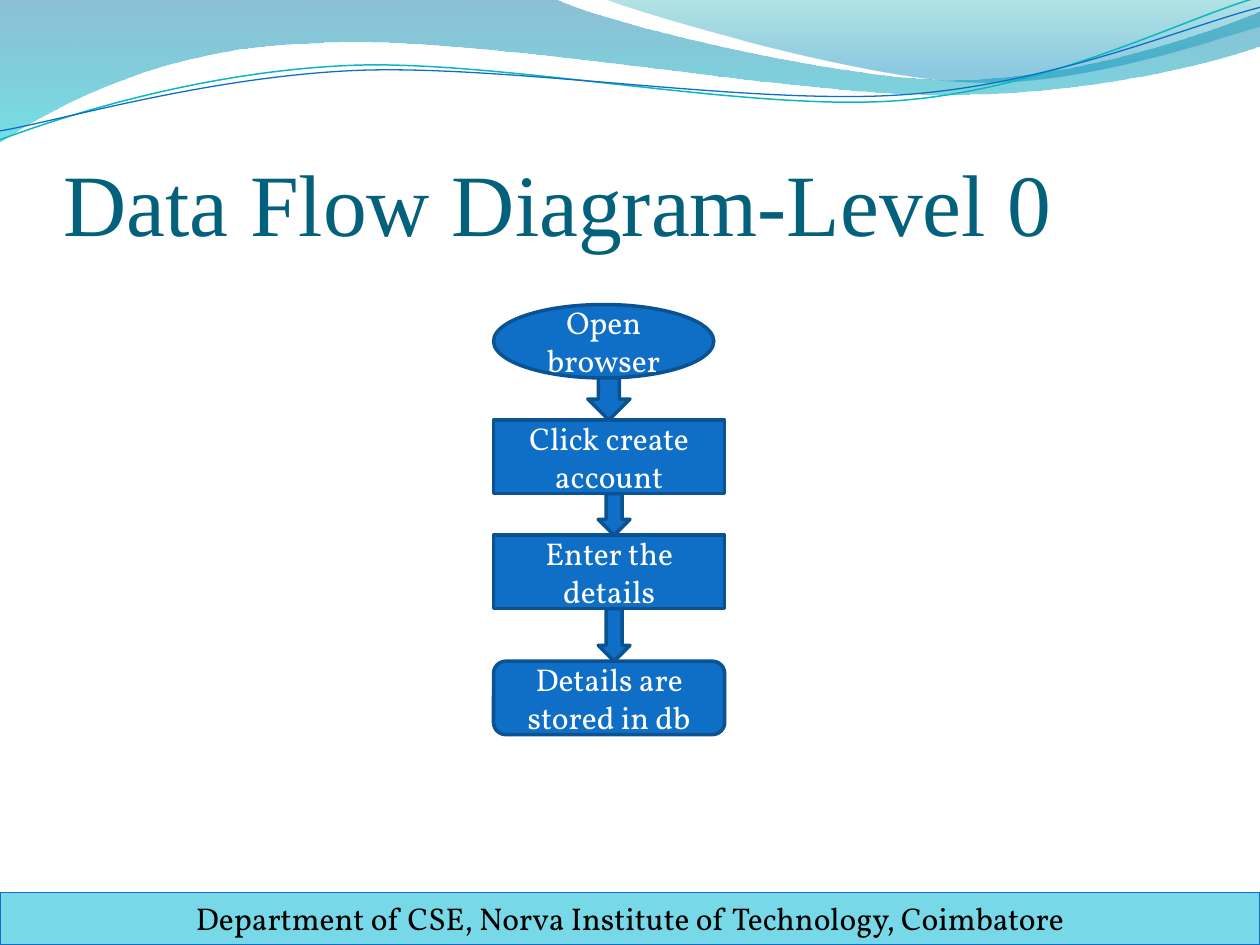
from dataclasses import dataclass

from pptx import Presentation
from pptx.dml.color import RGBColor
from pptx.enum.shapes import MSO_SHAPE
from pptx.enum.text import MSO_ANCHOR, PP_ALIGN
from pptx.oxml import parse_xml
from pptx.oxml.ns import nsdecls, qn
from pptx.util import Cm, Pt

RECTANGLE = MSO_SHAPE.RECTANGLE
ROUNDED = MSO_SHAPE.ROUNDED_RECTANGLE
OVAL = MSO_SHAPE.OVAL
DOWN_ARROW = MSO_SHAPE.DOWN_ARROW
TOP, MIDDLE, BOTTOM = MSO_ANCHOR.TOP, MSO_ANCHOR.MIDDLE, MSO_ANCHOR.BOTTOM
LEFT, CENTER = PP_ALIGN.LEFT, PP_ALIGN.CENTER

BLUE = RGBColor(0x0F, 0x6F, 0xC6)
DARK_BLUE = RGBColor(0x0B, 0x52, 0x92)
TITLE_TEAL = RGBColor(0x04, 0x61, 0x7B)
FOOTER_CYAN = RGBColor(0x77, 0xD9, 0xE8)
LINE_TEAL = RGBColor(0x0A, 0xB8, 0xBF)
WAVE_BLUE = RGBColor(0x00, 0x74, 0xA1)
WAVE_CYAN = RGBColor(0x00, 0xC6, 0xCF)
CREST_TEAL = RGBColor(0x00, 0xA1, 0xA9)
CREST_BLUE = RGBColor(0x00, 0x8B, 0xBF)
BLACK = RGBColor(0, 0, 0)
WHITE = RGBColor(0xFF, 0xFF, 0xFF)

BODY_FONT = "Vollkorn"
TITLE_FONT = "Times New Roman"


@dataclass
class Stop:
    position: float
    color: RGBColor
    opacity: int


@dataclass
class Wave:
    """Outline in cm: a segment is one line end or three Bezier points."""
    start: tuple
    segments: list
    stops: tuple = ()
    line_color: RGBColor | None = None
    line_width: float = 0


@dataclass
class Step:
    text: str
    kind: MSO_SHAPE
    top: float
    width: float = 4.66


@dataclass
class Arrow:
    left: float
    width: float


WAVES = [
    Wave((0, 0), [
        ((11.18, -0.03),),
        ((12.09, 0.43), (16.87, 1.6), (19.25, 1.6)),
        ((21.67, 1.6), (24.33, 0.66), (25.4, 0.23)),
        ((25.43, 0.91),),
        ((24.97, 1.12), (22.1, 1.93), (18.95, 1.91)),
        ((15.8, 1.91), (9.7, 0.71), (6.53, 0.86)),
        ((3.28, 0.91), (1.17, 2.11), (-0.03, 2.87)),
        ((0, 0),),
    ], stops=(Stop(0, WAVE_BLUE, 45), Stop(1, WAVE_CYAN, 55))),
    Wave((12.17, -0.03), [
        ((12.93, 0.28), (17.32, 1.57), (19.53, 1.65)),
        ((21.74, 1.75), (24.41, 0.81), (25.4, 0.53)),
        ((25.4, 0),),
        ((12.17, -0.03),),
    ], stops=(Stop(0, CREST_TEAL, 30), Stop(0.8, CREST_BLUE, 45))),
    Wave((0, 2.82), [
        ((1.22, 2.36), (4.01, 1.45), (7.04, 1.32)),
        ((10.03, 1.19), (15.06, 2.26), (18.11, 2.03)),
        ((21.16, 1.8), (23.83, 0.38), (25.35, -0.05)),
    ], line_color=LINE_TEAL, line_width=0.85),
    Wave((0, 2.64), [
        ((1.19, 2.44), (4.17, 1.55), (7.19, 1.42)),
        ((10.24, 1.3), (15.16, 2.13), (18.21, 1.91)),
        ((21.23, 1.7), (23.9, 0.53), (25.4, 0.15)),
    ], line_color=BLUE, line_width=0.75),
]

STEP_LEFT, STEP_HEIGHT = 9.95, 1.48
STEPS = [
    Step("Open browser", OVAL, 6.14, 4.44),
    Step("Click create account", RECTANGLE, 8.47),
    Step("Enter the details", RECTANGLE, 10.79),
    Step("Details are stored in db", ROUNDED, 13.33),
]
ARROWS = [Arrow(11.85, 0.85), Arrow(12.06, 0.64), Arrow(12.06, 0.64)]


def bend_segments(shape, segments: list) -> None:
    """Join each run of three line ends into one Bezier curve."""
    line_ends = iter(list(shape._element.spPr.iter(qn("a:lnTo"))))
    for segment in segments:
        ends = [next(line_ends) for _ in segment]
        if len(ends) == 1:
            continue
        curve = parse_xml(f'<a:cubicBezTo {nsdecls("a")}/>')
        ends[0].addprevious(curve)
        for end in ends:
            curve.append(end[0])
            end.getparent().remove(end)


def add_wave(slide, wave: Wave) -> None:
    points = [(Cm(x), Cm(y)) for segment in wave.segments for x, y in segment]
    builder = slide.shapes.build_freeform(Cm(wave.start[0]), Cm(wave.start[1]))
    builder.add_line_segments(points, close=bool(wave.stops))
    shape = builder.convert_to_shape()
    bend_segments(shape, wave.segments)
    shape.shadow.inherit = False
    if not wave.stops:
        shape.fill.background()
        shape.line.color.rgb = wave.line_color
        shape.line.width = Pt(wave.line_width)
        return
    shape.line.fill.background()
    shape.fill.gradient()
    shape.fill.gradient_angle = 270
    for target, stop in zip(shape.fill.gradient_stops, wave.stops):
        target.position = stop.position
        target.color.rgb = stop.color
    colors = list(shape._element.spPr.iter(qn("a:srgbClr")))
    for color, stop in zip(colors, wave.stops):
        color.append(parse_xml(f'<a:alpha {nsdecls("a")} val="{stop.opacity * 1000}"/>'))


def add_block(slide, kind: MSO_SHAPE, left: float, top: float, width: float, height: float,
              fill: RGBColor = BLUE, line: RGBColor = DARK_BLUE, line_width: float = 2):
    shape = slide.shapes.add_shape(kind, Cm(left), Cm(top), Cm(width), Cm(height))
    shape.shadow.inherit = False
    shape.fill.solid()
    shape.fill.fore_color.rgb = fill
    shape.line.color.rgb = line
    shape.line.width = Pt(line_width)
    return shape


def write(shape, text: str, color: RGBColor, size: float = 18, font: str = BODY_FONT,
          align: PP_ALIGN = CENTER, anchor: MSO_ANCHOR = MIDDLE) -> None:
    frame = shape.text_frame
    frame.word_wrap = True
    frame.vertical_anchor = anchor
    paragraph = frame.paragraphs[0]
    paragraph.alignment = align
    run = paragraph.add_run()
    run.text = text
    run.font.name = font
    run.font.size = Pt(size)
    run.font.color.rgb = color


def main() -> None:
    presentation = Presentation()
    presentation.slide_width, presentation.slide_height = Cm(25.4), Cm(19.05)
    slide = presentation.slides.add_slide(presentation.slide_layouts[6])

    # Waves across the top
    for wave in WAVES:
        add_wave(slide, wave)

    # Title
    title = slide.shapes.add_textbox(Cm(1.28), Cm(1.94), Cm(22.86), Cm(3.18))
    write(title, "Data Flow Diagram-Level 0", TITLE_TEAL, 50, TITLE_FONT, LEFT, BOTTOM)
    title.text_frame.margin_left = title.text_frame.margin_right = Cm(0)
    title.text_frame.margin_bottom = Cm(0)

    # Footer band
    footer = add_block(slide, RECTANGLE, 0, 17.99, 25.4, 1.06, FOOTER_CYAN, BLUE, 0.75)
    write(footer, "Department of CSE, Norva Institute of Technology, Coimbatore", BLACK, anchor=TOP)

    # Flow steps
    for step in STEPS:
        block = add_block(slide, step.kind, STEP_LEFT, step.top, step.width, STEP_HEIGHT)
        write(block, step.text, WHITE)

    # Each arrow fills the gap between two steps
    for arrow, above, below in zip(ARROWS, STEPS, STEPS[1:]):
        top = above.top + STEP_HEIGHT
        add_block(slide, DOWN_ARROW, arrow.left, top, arrow.width, below.top - top)

    presentation.save("out.pptx")


if __name__ == "__main__":
    main()
